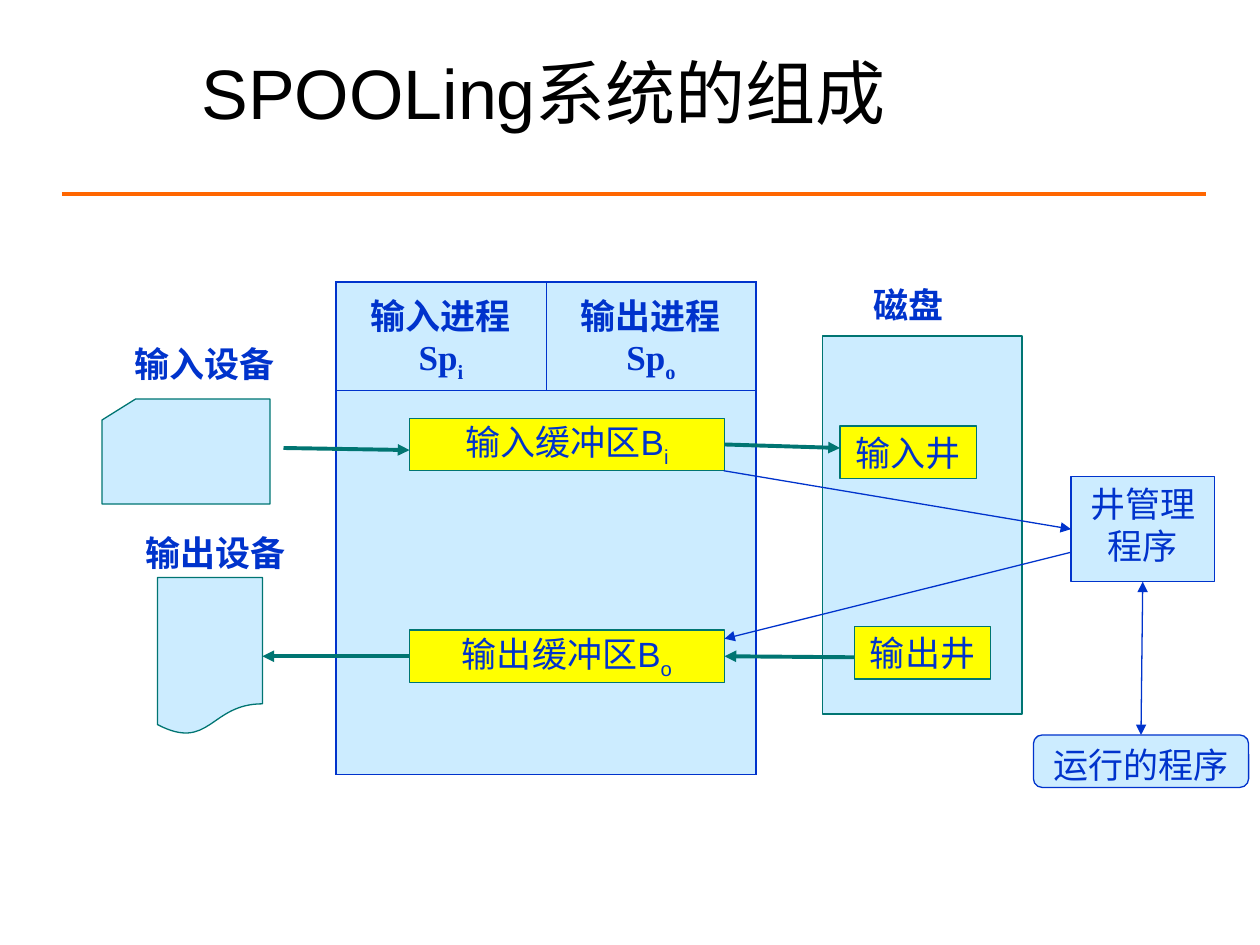
"""Build a slide showing the components of a SPOOLing system."""
from lxml import etree
from pptx import Presentation
from pptx.dml.color import RGBColor
from pptx.enum.shapes import MSO_CONNECTOR, MSO_SHAPE
from pptx.enum.text import MSO_ANCHOR, MSO_AUTO_SIZE, PP_ALIGN
from pptx.oxml.ns import qn
from pptx.util import Pt

COLORS = {"blue": "0033CC", "teal": "007572", "sky": "CCECFF",
          "yellow": "FFFF00", "orange": "FF6600", "black": "000000"}
RGB = {name: RGBColor.from_string(value) for name, value in COLORS.items()}
BODY = {"size": Pt(20), "name": "Arial", "bold": False}
LABEL = {**BODY, "bold": True}
PROCESS = {**LABEL, "name": "Times New Roman"}
HEADING = {**BODY, "size": Pt(40)}


def write(frame, text, subscript="", style=BODY, color="blue", align=PP_ALIGN.CENTER):
    paragraph = frame.paragraphs[0]
    paragraph.alignment = align
    for part, baseline in ((text, "0"), (subscript, "-25000")):
        if part:
            run = paragraph.add_run()
            run.text = part
            for attribute, value in style.items():
                setattr(run.font, attribute, value)
            run.font.color.rgb = RGB[color]
            run._r.get_or_add_rPr().set("baseline", baseline)


def draw_line(start, end, color, width, heads=()):
    connector = slide.shapes.add_connector(
        MSO_CONNECTOR.STRAIGHT, *[Pt(value) for value in (*start, *end)])
    connector.line.color.rgb = RGB[color]
    connector.line.width = Pt(width)
    for head in heads:
        etree.SubElement(connector.line._get_or_add_ln(), qn(f"a:{head}"), type="triangle")
    etree.SubElement(connector._element.spPr, qn("a:effectLst"))
    return connector


prs = Presentation()
prs.slide_width, prs.slide_height = Pt(720), Pt(540)
slide = prs.slides.add_slide(prs.slide_layouts[5])

draw_line((35.4, 110.8), (689.2, 110.8), "orange", 2.25)

title = slide.shapes.title
title.left, title.top, title.width, title.height = Pt(108), Pt(18), Pt(516), Pt(68)
title.text_frame.vertical_anchor = MSO_ANCHOR.MIDDLE
write(title.text_frame, "SPOOLing系统的组成", style=HEADING, color="black", align=PP_ALIGN.LEFT)

memory = slide.shapes.add_table(2, 2, Pt(192), Pt(161.3), Pt(240), Pt(280.6)).table
memory.first_row = memory.horz_banding = False
for row, height in zip(memory.rows, (61, 219.6)):
    row.height = Pt(height)
memory.cell(1, 0).merge(memory.cell(1, 1))
for row in range(2):
    for column in range(2):
        cell = memory.cell(row, column)
        outer = {"lnL": column == 0, "lnR": column == 1 or row == 1,
                 "lnT": row == 0, "lnB": row == 1}
        for side, is_outer in outer.items():
            border = etree.SubElement(cell._tc.get_or_add_tcPr(), qn(f"a:{side}"),
                                      w=str(Pt(1.08 if is_outer else 0.45)))
            border_fill = etree.SubElement(border, qn("a:solidFill"))
            etree.SubElement(border_fill, qn("a:srgbClr"), val=COLORS["blue"])
        cell.fill.solid()
        cell.fill.fore_color.rgb = RGB["sky"]
        cell.vertical_anchor = MSO_ANCHOR.MIDDLE
for column, (process, subscript) in enumerate((("输入进程Sp", "i"), ("输出进程Sp", "o"))):
    write(memory.cell(0, column).text_frame, process, subscript, PROCESS)

RECT, MIDDLE, TOP = MSO_SHAPE.RECTANGLE, MSO_ANCHOR.MIDDLE, MSO_ANCHOR.TOP
parts = {}
for key, preset, box, fill, line, text, subscript, anchor, wrap in (
    ("card", MSO_SHAPE.FLOWCHART_CARD, (58.3, 228, 96, 60), "sky", "teal", "", "", MIDDLE, True),
    ("paper", MSO_SHAPE.FLOWCHART_DOCUMENT, (90, 330, 60, 90), "sky", "teal", "", "", MIDDLE, True),
    ("disk", RECT, (470, 192, 114, 216), "sky", "teal", "", "", MIDDLE, True),
    ("input well", RECT, (480, 243.4, 78, 30), "yellow", "teal", "输入井", "", MIDDLE, False),
    ("output well", RECT, (488.2, 358, 78, 30), "yellow", "teal", "输出井", "", MIDDLE, False),
    ("input buffer", RECT, (234, 239, 180, 30), "yellow", "teal", "输入缓冲区B", "i", MIDDLE, False),
    ("output buffer", RECT, (234, 360, 180, 30), "yellow", "teal", "输出缓冲区B", "o", MIDDLE, False),
    ("manager", RECT, (612, 272.4, 82, 60), "sky", "blue", "井管理程序", "", TOP, True),
    ("program", MSO_SHAPE.ROUNDED_RECTANGLE, (590.5, 420, 123, 30), "sky", "blue",
     "运行的程序", "", TOP, True),
):
    part = slide.shapes.add_shape(preset, *[Pt(value) for value in box])
    part.shadow.inherit = False
    part.fill.solid()
    part.fill.fore_color.rgb = RGB[fill]
    part.line.color.rgb = RGB[line]
    part.line.width = Pt(0.75)
    part.text_frame.vertical_anchor = anchor
    part.text_frame.word_wrap = wrap
    write(part.text_frame, text, subscript)
    parts[key] = part

for left, top, text in ((60, 192, "输入设备"), (66, 300, "输出设备"), (462, 158.4, "磁盘")):
    label = slide.shapes.add_textbox(Pt(left), Pt(top), Pt(114), Pt(31))
    label.text_frame.word_wrap = True
    label.text_frame.auto_size = MSO_AUTO_SIZE.SHAPE_TO_FIT_TEXT
    write(label.text_frame, text, style=LABEL)

ONE_WAY, TWO_WAY = ("tailEnd",), ("headEnd", "tailEnd")
for start, end, color, width, heads, source, target in (
    ((162, 256), (234, 257.2), "teal", 2.25, ONE_WAY, None, None),
    ((414, 254), (480, 256), "teal", 2.25, ONE_WAY, ("input buffer", 3), None),
    ((234, 375), (150, 375), "teal", 2.25, ONE_WAY, ("output buffer", 1), ("paper", 3)),
    ((488.2, 375.6), (414, 375), "teal", 2.25, ONE_WAY, None, ("output buffer", 3)),
    ((413.5, 269), (612, 302.4), "blue", 0.75, ONE_WAY, None, ("manager", 1)),
    ((612, 315.6), (414, 365), "blue", 0.75, ONE_WAY, None, None),
    ((653, 332.4), (652, 420), "blue", 0.75, TWO_WAY, ("manager", 2), ("program", 0)),
):
    flow = draw_line(start, end, color, width, heads)
    if source:
        flow.begin_connect(parts[source[0]], source[1])
    if target:
        flow.end_connect(parts[target[0]], target[1])

prs.save("out.pptx")
